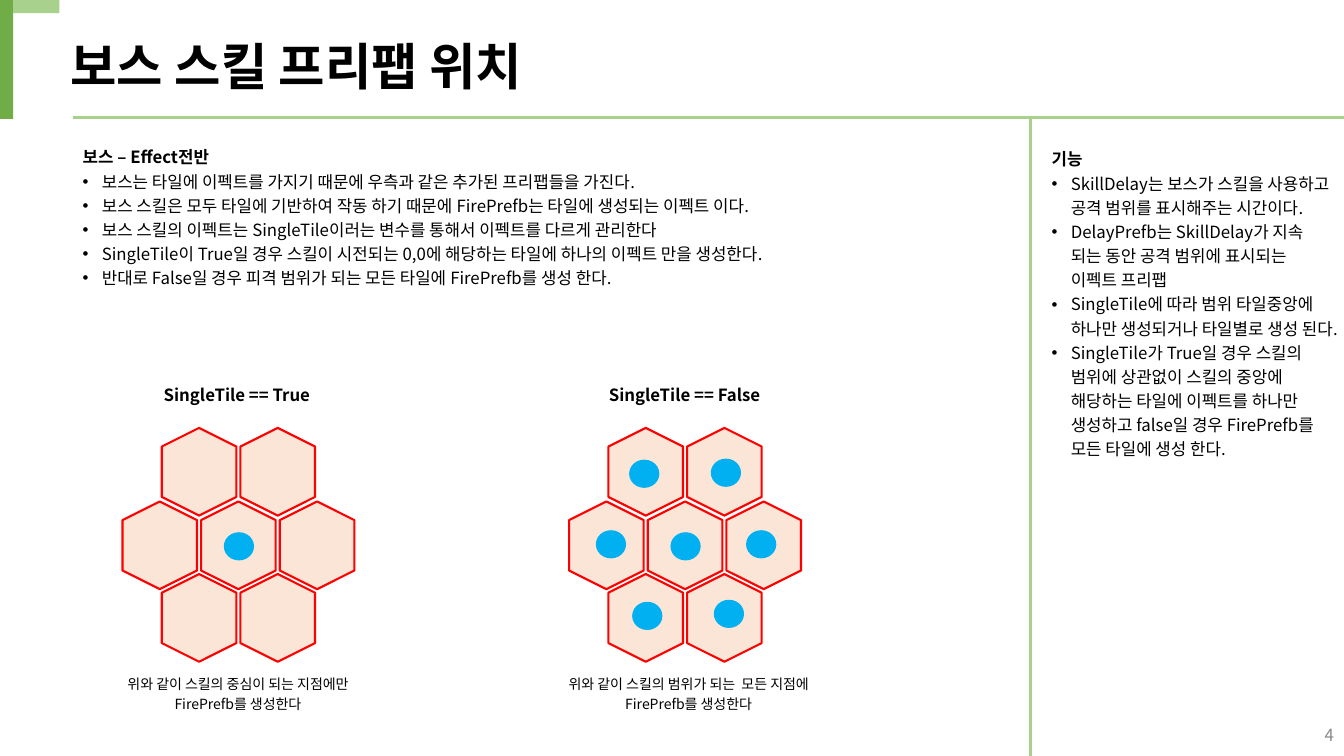
from dataclasses import dataclass

from lxml import etree
from pptx import Presentation
from pptx import util as u
from pptx.dml.color import RGBColor
from pptx.enum import shapes, text
from pptx.oxml import ns

Inches = u.Inches
LEFT, CENTER, RIGHT = (text.PP_ALIGN.LEFT, text.PP_ALIGN.CENTER,
                       text.PP_ALIGN.RIGHT)


@dataclass(frozen=True)
class Theme:
    font: str = "Noto Sans CJK KR"
    ink: str = "000000"
    muted: str = "888888"
    accent: str = "70AD47"
    accent_light: str = "A9D18E"
    tile: str = "FBE5D6"
    tile_edge: str = "FF0000"
    effect: str = "00B0F0"
    title_size: int = 36
    body_size: int = 12
    caption_size: int = 10
    rule_width: float = 2.25
    edge_width: float = 1.5


THEME = Theme()


def write(paragraph, words, *, size=THEME.body_size, color=THEME.ink,
          bold=False, align=LEFT, bullet=False, spacing=1.2):
    paragraph.alignment = align
    paragraph.line_spacing = spacing
    paragraph.space_before = paragraph.space_after = u.Pt(0)
    run = paragraph.add_run()
    run.text = words
    run.font.name = THEME.font
    run.font.size = u.Pt(size)
    run.font.bold = bold
    run.font.color.rgb = RGBColor.from_string(color)
    # No pair kerning; East Asian typeface after the Latin one
    run.font._element.set("kern", "0")
    latin = run.font._element.find(ns.qn("a:latin"))
    east_asian = etree.Element(ns.qn("a:ea"), typeface=THEME.font)
    latin.addnext(east_asian)
    # Bullet and hanging indent
    props = paragraph._p.get_or_add_pPr()
    indent = Inches(0.19) if bullet else 0
    props.set("marL", str(indent))
    props.set("indent", str(-indent))
    if bullet:
        etree.SubElement(props, ns.qn("a:buFont"), typeface="Arial")
        etree.SubElement(props, ns.qn("a:buChar"), char="•")
    else:
        etree.SubElement(props, ns.qn("a:buNone"))


class Canvas:
    def __init__(self, slide, theme):
        self.slide, self.theme = slide, theme

    def frame(self, holder, box, anchor):
        holder.left, holder.top, holder.width, holder.height = map(Inches, box)
        frame = holder.text_frame
        frame.word_wrap = True
        frame.auto_size = text.MSO_AUTO_SIZE.NONE
        frame.vertical_anchor = anchor
        return frame

    def title(self, words, box):
        frame = self.frame(self.slide.shapes.title, box, text.MSO_ANCHOR.MIDDLE)
        write(frame.paragraphs[0], words, size=self.theme.title_size,
              bold=True, spacing=1.0)

    def section(self, index, heading, points, box):
        frame = self.frame(self.slide.placeholders[index], box,
                           text.MSO_ANCHOR.TOP)
        write(frame.paragraphs[0], heading, bold=True)
        for point in points:
            write(frame.add_paragraph(), point, bullet=True)

    def label(self, words, box, anchor=text.MSO_ANCHOR.TOP, **style):
        holder = self.slide.shapes.add_textbox(*map(Inches, box))
        write(self.frame(holder, box, anchor).paragraphs[0], words, **style)

    def shape(self, kind, box, fill, edge=None, rotation=0):
        shape = self.slide.shapes.add_shape(kind, *map(Inches, box))
        shape.shadow.inherit = False
        shape.rotation = rotation
        shape.fill.solid()
        shape.fill.fore_color.rgb = RGBColor.from_string(fill)
        if edge:
            shape.line.color.rgb = RGBColor.from_string(edge)
            shape.line.width = u.Pt(self.theme.edge_width)
        else:
            shape.line.fill.background()

    def rule(self, *ends):
        rule = self.slide.shapes.add_connector(
            shapes.MSO_CONNECTOR.STRAIGHT, *map(Inches, ends))
        rule.line.color.rgb = RGBColor.from_string(self.theme.accent_light)
        rule.line.width = u.Pt(self.theme.rule_width)
        etree.SubElement(rule._element.spPr, ns.qn("a:effectLst"))

    def tile_diagram(self, left, heading, heading_left, caption, caption_left,
                     effects):
        """Seven tiles around a centre, with effects offset from the centre."""
        self.label(heading, (heading_left, 3.73, 3, 0.34), bold=True,
                   align=CENTER)
        for top, columns in TILE_ROWS.items():
            for column in columns:
                self.shape(shapes.MSO_SHAPE.HEXAGON,
                           (left + column * 0.78, top, 0.87, 0.74),
                           self.theme.tile, self.theme.tile_edge, rotation=270)
        for dx, dy in effects:
            self.shape(shapes.MSO_SHAPE.OVAL,
                       (left + 0.29 + dx, 5.28 + dy, 0.3, 0.28),
                       self.theme.effect)
        self.label(caption, (caption_left, 6.62, 3, 0.5),
                   size=self.theme.caption_size, align=CENTER)


# Tile columns by the top of their row
TILE_ROWS = {4.31: (-0.5, 0.5), 5.04: (-1, 0, 1), 5.76: (-0.5, 0.5)}
CENTRE_EFFECT = [(0, 0)]
OUTER_EFFECTS = [(-0.41, -0.72), (0.4, -0.73), (-0.38, 0.69), (0.43, 0.67),
                 (0.75, -0.02), (-0.74, -0.02)]

EFFECT_POINTS = [
    "보스는 타일에 이펙트를 가지기 때문에 우측과 같은 추가된 프리팹들을 가진다.",
    "보스 스킬은 모두 타일에 기반하여 작동 하기 때문에 FirePrefb는 타일에 생성되는 이펙트 이다.",
    "보스 스킬의 이펙트는 SingleTile이러는 변수를 통해서 이펙트를 다르게 관리한다",
    "SingleTile이 True일 경우 스킬이 시전되는 0,0에 해당하는 타일에 하나의 이펙트 만을 생성한다.",
    "반대로 False일 경우 피격 범위가 되는 모든 타일에 FirePrefb를 생성 한다.",
]
FUNCTION_POINTS = [
    "SkillDelay는 보스가 스킬을 사용하고 공격 범위를 표시해주는 시간이다.",
    "DelayPrefb는 SkillDelay가 지속 되는 동안 공격 범위에 표시되는 이펙트 프리팹",
    "SingleTile에 따라 범위 타일중앙에 하나만 생성되거나 타일별로 생성 된다.",
    "SingleTile가 True일 경우 스킬의 범위에 상관없이 스킬의 중앙에 해당하는 타일에 "
    "이펙트를 하나만 생성하고 false일 경우 FirePrefb를 모든 타일에 생성 한다.",
]

deck = Presentation()
deck.slide_width, deck.slide_height = Inches(13.33), Inches(7.5)
two_content = deck.slide_layouts[3]
canvas = Canvas(deck.slides.add_slide(two_content), THEME)

# Corner mark, dividers and page number
canvas.shape(shapes.MSO_SHAPE.RECTANGLE, (0, 0, 0.13, 1.18), THEME.accent)
canvas.shape(shapes.MSO_SHAPE.RECTANGLE, (0.13, 0, 0.46, 0.13),
             THEME.accent_light)
canvas.rule(0.72, 1.17, 13.33, 1.17)
canvas.rule(10.22, 7.5, 10.22, 1.17)
canvas.label("4", (10.33, 7.09, 3, 0.4), text.MSO_ANCHOR.MIDDLE,
             color=THEME.muted, align=RIGHT, spacing=1.0)

# Title and the two lists
canvas.title("보스 스킬 프리팹 위치", (0.6, 0.29, 10.37, 0.71))
canvas.section(1, "보스 – Effect전반", EFFECT_POINTS, (0.72, 1.37, 9.25, 1.55))
canvas.section(2, "기능", FUNCTION_POINTS, (10.33, 1.39, 3, 3.74))

# Tile diagrams
canvas.tile_diagram(1.93, "SingleTile == True", 0.85,
                    "위와 같이 스킬의 중심이 되는 지점에만 FirePrefb를 생성한다",
                    0.86, CENTRE_EFFECT)
canvas.tile_diagram(6.36, "SingleTile == False", 5.29,
                    "위와 같이 스킬의 범위가 되는  모든 지점에 FirePrefb를 생성한다",
                    5.33, CENTRE_EFFECT + OUTER_EFFECTS)

deck.save("out.pptx")
